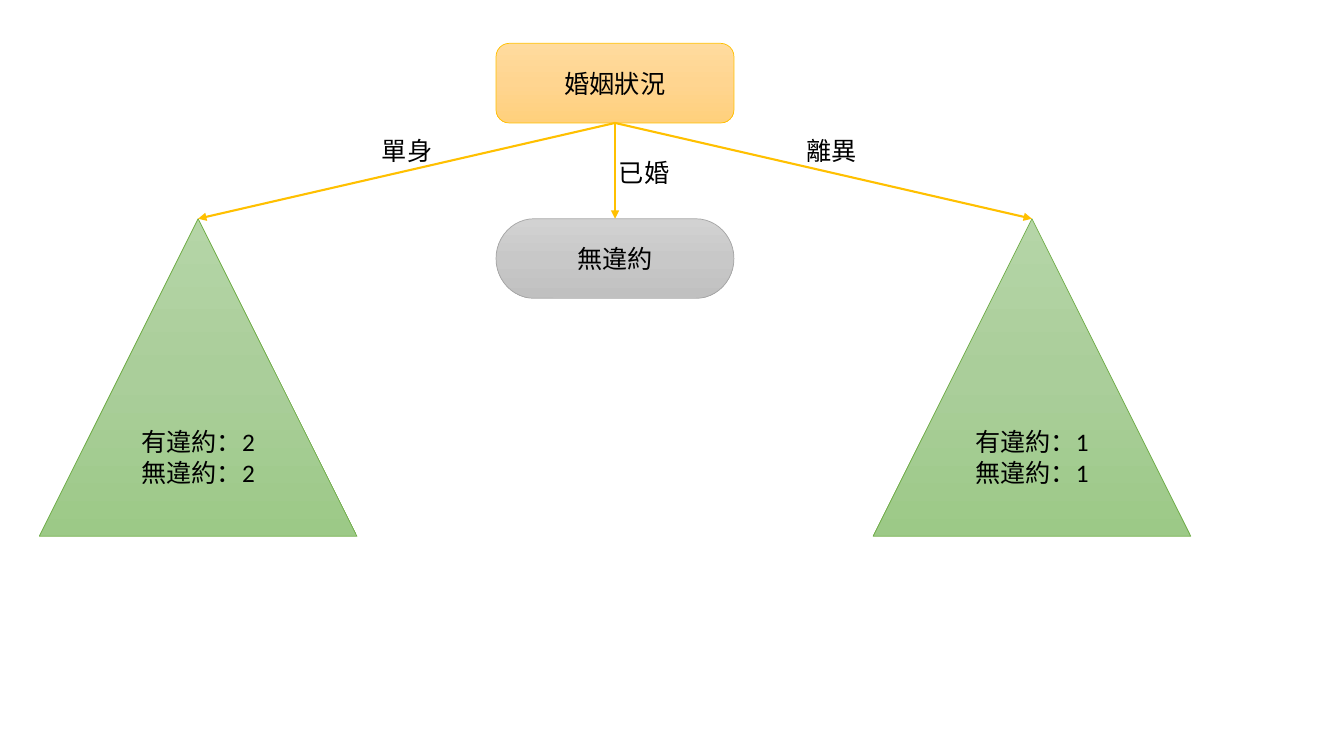
from copy import deepcopy
from dataclasses import dataclass

from lxml.etree import SubElement
from pptx import Presentation
from pptx.dml.color import RGBColor
from pptx.enum.shapes import MSO_CONNECTOR, MSO_SHAPE
from pptx.enum.text import MSO_ANCHOR, MSO_AUTO_SIZE, PP_ALIGN
from pptx.oxml.ns import qn
from pptx.util import Inches, Pt


@dataclass(frozen=True)
class Theme:
    """Colours, font and sizes shared by the whole tree."""
    font: str = "Calibri"
    text_size: float = 18
    text: str = "000000"
    arrow: str = "FFC000"
    arrow_width: float = 1.5
    outline_width: float = 0.5


@dataclass(frozen=True)
class NodeStyle:
    """Look of one kind of tree node; stops run from top to bottom."""
    outline_shape: MSO_SHAPE
    size: tuple
    stops: tuple
    outline: str


THEME = Theme()
QUESTION = NodeStyle(MSO_SHAPE.ROUNDED_RECTANGLE, (2.36, 0.79),
                     ("FFDB9E", "FFD590", "FFD07C"), "FFC000")
RESULT = NodeStyle(MSO_SHAPE.FLOWCHART_TERMINATOR, (2.36, 0.79),
                   ("D2D2D2", "C8C8C8", "C0C0C0"), "A5A5A5")
SUBTREE = NodeStyle(MSO_SHAPE.ISOSCELES_TRIANGLE, (3.15, 3.15),
                    ("B5D5A7", "AACE9A", "9CC987"), "70AD47")

ROOT_LINES = ["婚姻狀況"]
# branch answer, left and top of its label, child style, child lines
BRANCHES = [
    ("單身", (3.69, 1.29), SUBTREE, ["有違約：2", "無違約：2"]),
    ("已婚", (6.04, 1.51), RESULT, ["無違約"]),
    ("離異", (7.9, 1.29), SUBTREE, ["有違約：1", "無違約：1"]),
]
CENTER_X, BRANCH_GAP = 6.1, 4.135
ROOT_TOP, CHILD_TOP = 0.43, 2.17
LABEL_SIZE = (0.71, 0.4)
BOTTOM_SITE, TOP_SITE = 2, 0


def write_lines(frame, lines, align):
    """Fill a text frame with one paragraph per line."""
    for index, line in enumerate(lines):
        paragraph = frame.add_paragraph() if index else frame.paragraphs[0]
        paragraph.alignment = align
        run = paragraph.add_run()
        run.text = line
        run.font.name = THEME.font
        run.font.size = Pt(THEME.text_size)
        run.font.color.rgb = RGBColor.from_string(THEME.text)


def paint_gradient(node, colors):
    """Fill a node with evenly spaced colours from top to bottom."""
    node.fill.gradient()
    node.fill.gradient_angle = 270
    stop_list = node.element.spPr.find(qn("a:gradFill")).find(qn("a:gsLst"))
    while len(stop_list) < len(colors):
        stop_list.append(deepcopy(stop_list[0]))
    for index, (stop, color) in enumerate(zip(node.fill.gradient_stops, colors)):
        stop.position = index / (len(colors) - 1)
        stop.color.rgb = RGBColor.from_string(color)


def add_node(slide, style, center_x, top, lines):
    """Draw a tree node centred on center_x."""
    width, height = style.size
    node = slide.shapes.add_shape(
        style.outline_shape, Inches(center_x - width / 2), Inches(top),
        Inches(width), Inches(height))
    node.shadow.inherit = False
    paint_gradient(node, style.stops)
    node.line.color.rgb = RGBColor.from_string(style.outline)
    node.line.width = Pt(THEME.outline_width)
    node.text_frame.vertical_anchor = MSO_ANCHOR.MIDDLE
    node.text_frame.word_wrap = True
    write_lines(node.text_frame, lines, PP_ALIGN.CENTER)
    return node


def add_branch(slide, parent, child):
    """Join the bottom of a parent to the top of its child with an arrow."""
    branch = slide.shapes.add_connector(MSO_CONNECTOR.STRAIGHT, 0, 0, 0, 0)
    branch.begin_connect(parent, BOTTOM_SITE)
    branch.end_connect(child, TOP_SITE)
    branch.line.color.rgb = RGBColor.from_string(THEME.arrow)
    branch.line.width = Pt(THEME.arrow_width)
    properties = branch.element.spPr
    SubElement(properties.find(qn("a:ln")), qn("a:tailEnd"), type="triangle")
    SubElement(properties, qn("a:effectLst"))


def add_label(slide, position, answer):
    """Write the answer beside its branch."""
    label = slide.shapes.add_textbox(*map(Inches, position + LABEL_SIZE))
    label.text_frame.word_wrap = False
    label.text_frame.auto_size = MSO_AUTO_SIZE.SHAPE_TO_FIT_TEXT
    write_lines(label.text_frame, [answer], PP_ALIGN.LEFT)


def main():
    """Build the decision tree slide."""
    deck = Presentation()
    deck.slide_width, deck.slide_height = Inches(13.33), Inches(7.5)
    slide = deck.slides.add_slide(deck.slide_layouts[6])
    root = add_node(slide, QUESTION, CENTER_X, ROOT_TOP, ROOT_LINES)
    middle = (len(BRANCHES) - 1) / 2
    for index, (answer, position, style, lines) in enumerate(BRANCHES):
        center_x = CENTER_X + (index - middle) * BRANCH_GAP
        child = add_node(slide, style, center_x, CHILD_TOP, lines)
        add_branch(slide, root, child)
        add_label(slide, position, answer)
    deck.save("out.pptx")


main()
